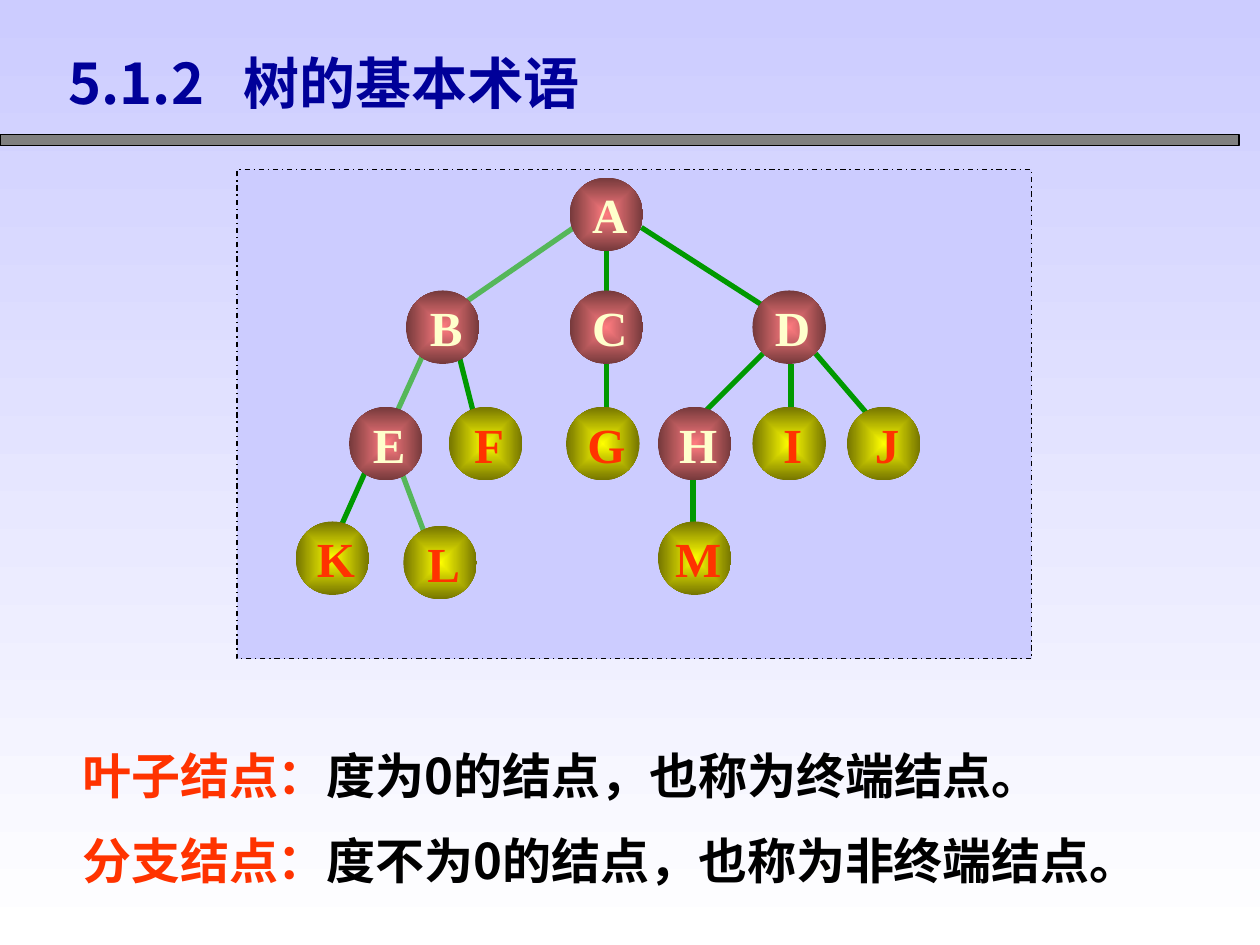
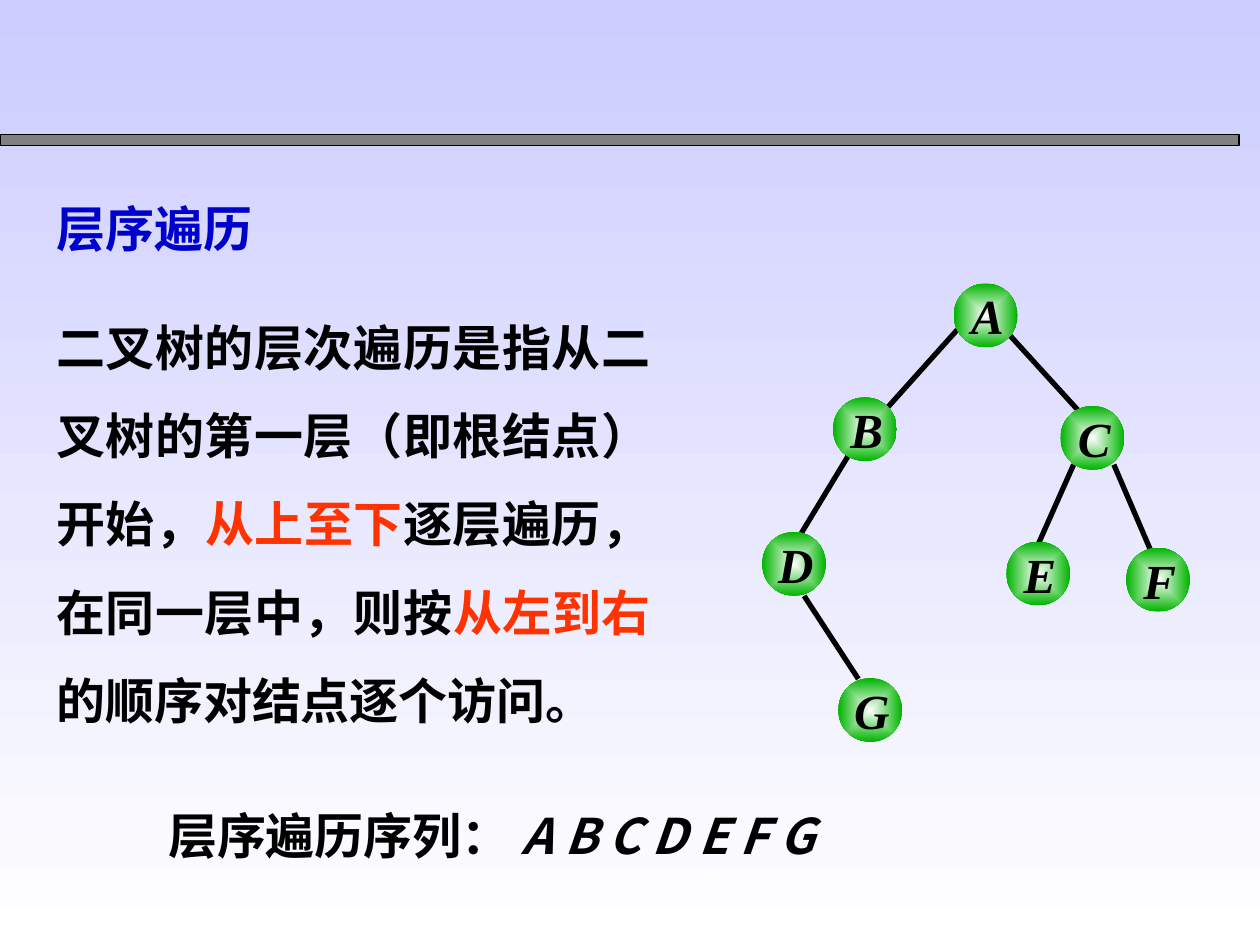
"""Build two slides on tree terms and level-order traversal."""
import pptx
import pptx.dml.color
import pptx.enum.dml
import pptx.enum.shapes
import pptx.enum.text
import pptx.oxml
import pptx.oxml.ns
import pptx.util
import lxml.etree

Pt = pptx.util.Pt
qn = pptx.oxml.ns.qn
rgb = pptx.dml.color.RGBColor.from_string
SHAPE = pptx.enum.shapes.MSO_SHAPE
ALIGN = pptx.enum.text.PP_ALIGN
ANCHOR = pptx.enum.text.MSO_ANCHOR

SANS, SERIF = "Noto Sans CJK SC", "Times New Roman"
LAVENDER, WHITE, BLACK, RED = "CCCCFF", "FFFFFF", "000000", "FF3300"
GREEN, PALE_GREEN = "009900", "55B75A"
BRANCH = ("FF7C80", "75393B", "FFFFCC")
LEAF = ("FFFF00", "757500", RED)
BINARY = (WHITE, "00B400", BLACK)
RADIAL = (
    f'<a:path {pptx.oxml.ns.nsdecls("a")} path="rect">'
    '<a:fillToRect l="50000" t="50000" r="50000" b="50000"/></a:path>'
)


def style(r, font, size, color, italic=False):
    """Format one bold run, for Latin and East Asian letters alike."""
    r.font.name, r.font.size = font, Pt(size)
    r.font.bold, r.font.italic = True, italic
    r.font.color.rgb = rgb(color)
    ea = lxml.etree.SubElement(r.font._element, qn("a:ea"))
    ea.set("typeface", font)


def fill_paragraph(p, runs, align, spacing, before):
    """Write coloured runs into an unbulleted paragraph."""
    pPr = p._p.get_or_add_pPr()
    pPr.set("marL", "0")
    pPr.set("indent", "0")
    lxml.etree.SubElement(pPr, qn("a:buNone"))
    p.alignment, p.line_spacing, p.space_before = align, spacing, Pt(before)
    for text, color, italic in runs:
        r = p.add_run()
        r.text = text
        style(r, SANS, 28, color, italic)


prs = pptx.Presentation()
prs.slide_width, prs.slide_height = Pt(720), Pt(540)
layout = prs.slide_layouts[1]
s1, s2 = prs.slides.add_slide(layout), prs.slides.add_slide(layout)

master = prs.slide_master
bg = master.background.fill
bg.gradient()
bg.gradient_angle = 270
for stop, color in zip(bg.gradient_stops, (LAVENDER, WHITE)):
    stop.color.rgb = rgb(color)

bar = s1.shapes.add_shape(SHAPE.RECTANGLE, 0, Pt(77), Pt(708), Pt(6))
bar.shadow.inherit = False
bar.fill.solid()
bar.fill.fore_color.rgb = rgb("808080")
bar.line.color.rgb = rgb(BLACK)
bar.line.width = Pt(0.75)
master.shapes._spTree.append(bar._element)

title = s1.shapes.title
title.left, title.top, title.width, title.height = Pt(32), Pt(24), Pt(394), Pt(46)
tf = title.text_frame
tf.text = "5.1.2\t树的基本术语"
tf.auto_size = pptx.enum.text.MSO_AUTO_SIZE.NONE
tf.vertical_anchor = ANCHOR.TOP
p = tf.paragraphs[0]
tabs = lxml.etree.SubElement(p._p.get_or_add_pPr(), qn("a:tabLst"))
lxml.etree.SubElement(tabs, qn("a:tab"), pos=str(Pt(100)), algn="l")
p.alignment = ALIGN.LEFT
style(p.runs[0], SANS, 32, "000099")
s2.shapes.title._element.getparent().remove(s2.shapes.title._element)

terms = [
    [("叶子结点：", RED, False), ("度为0的结点，也称为终端结点。", BLACK, False)],
    [("分支结点：", RED, False), ("度不为0的结点，也称为非终端结点。", BLACK, False)],
]
traversal = [
    [("层序遍历", "0000CC", False)],
    [
        ("二叉树的层次遍历是指从二叉树的第一层（即根结点）开始，", BLACK, False),
        ("从上至下", RED, False),
        ("逐层遍历，在同一层中，则按", BLACK, False),
        ("从左到右", RED, False),
        ("的顺序对结点逐个访问。", BLACK, False),
    ],
]
sequence = [[("层序遍历序列：", BLACK, False), (" A B C D E F G", BLACK, True)]]
sequence_box = s2.shapes.add_textbox(0, 0, 0, 0)

for sp, box, paragraphs, align, spacing, before, inset in (
    (s1.placeholders[1], (47, 410.5, 635, 101.5), terms, ALIGN.LEFT, 1.35, 3.5, 0),
    (s2.placeholders[1], (25, 93, 354, 327.5), traversal, ALIGN.JUSTIFY, 1.5, 17.5, 7.2),
    (sequence_box, (89, 456.5, 403, 75), sequence, ALIGN.JUSTIFY, 1, 0, 7.2),
):
    sp.left, sp.top, sp.width, sp.height = map(Pt, box)
    tf = sp.text_frame
    tf.word_wrap = True
    tf.auto_size = pptx.enum.text.MSO_AUTO_SIZE.NONE
    tf.vertical_anchor = ANCHOR.TOP
    tf.margin_left = tf.margin_right = Pt(inset)
    for i, runs in enumerate(paragraphs):
        p = tf.add_paragraph() if i else tf.paragraphs[0]
        fill_paragraph(p, runs, align, spacing, before if i else 0)

term_tree = s1.shapes.add_group_shape()
frame = term_tree.shapes.add_shape(SHAPE.RECTANGLE, Pt(135.5), Pt(97), Pt(454), Pt(279.5))
frame.shadow.inherit = False
frame.fill.solid()
frame.fill.fore_color.rgb = rgb(LAVENDER)
frame.line.color.rgb = rgb(BLACK)
frame.line.width = Pt(0.75)
frame.line.dash_style = pptx.enum.dml.MSO_LINE.DASH_DOT
binary_tree = s2.shapes.add_group_shape()

term_edges = [
    (466, 202, 502, 244, GREEN),
    (436, 202, 400, 238, GREEN),
    (452, 208, 452, 238, GREEN),
    (396, 274, 396, 310, GREEN),
    (366.5, 130, 442, 178.5, GREEN),
    (328, 130, 267, 172, PALE_GREEN),
    (346.5, 143, 346.5, 274, GREEN),
    (262, 202, 273, 245.5, GREEN),
    (229, 268.5, 242.5, 304.5, PALE_GREEN),
    (242, 202, 227, 235, PALE_GREEN),
    (209, 269, 194.5, 301.5, GREEN),
]
binary_edges = [
    (547, 188.5, 507.5, 232.5, BLACK),
    (576.5, 191, 617, 235.5, BLACK),
    (485, 260, 458, 304.5, BLACK),
    (459.5, 340.5, 490.5, 388, BLACK),
    (613.5, 265.5, 593.5, 310.5, BLACK),
    (636.5, 265.5, 657.5, 314.5, BLACK),
]
term_nodes = [
    ("A", 325.5, 101.5, BRANCH),
    ("B", 232, 166, BRANCH),
    ("C", 325.5, 166, BRANCH),
    ("D", 430, 166, BRANCH),
    ("E", 199.5, 232.5, BRANCH),
    ("F", 256.5, 232.5, LEAF),
    ("G", 323.5, 232.5, LEAF),
    ("H", 376, 232.5, BRANCH),
    ("I", 430, 232.5, LEAF),
    ("J", 484, 232.5, LEAF),
    ("K", 169, 298, LEAF),
    ("L", 230.5, 300.5, LEAF),
    ("M", 376, 298, LEAF),
]
binary_nodes = [
    ("A", 545, 162, BINARY),
    ("B", 476, 227, BINARY),
    ("C", 606, 232, BINARY),
    ("D", 435.5, 304, BINARY),
    ("E", 575, 309.5, BINARY),
    ("F", 643.5, 313, BINARY),
    ("G", 479, 387.5, BINARY),
]

for tree, edges, nodes, size, shift, italic in (
    (term_tree, term_edges, term_nodes, 42, 4, False),
    (binary_tree, binary_edges, binary_nodes, 36.5, 2, True),
):
    for x1, y1, x2, y2, color in edges:
        edge = tree.shapes.add_connector(
            pptx.enum.shapes.MSO_CONNECTOR.STRAIGHT, Pt(x1), Pt(y1), Pt(x2), Pt(y2)
        )
        edge.line.color.rgb = rgb(color)
        edge.line.width = Pt(3)
        lxml.etree.SubElement(edge._element.spPr, qn("a:effectLst"))
    for letter, x, y, (center, rim, ink) in nodes:
        sp = tree.shapes.add_shape(SHAPE.OVAL, Pt(x), Pt(y), Pt(size), Pt(size))
        sp.shadow.inherit = False
        sp.line.fill.background()
        sp.fill.gradient()
        for stop, color in zip(sp.fill.gradient_stops, (center, rim)):
            stop.color.rgb = rgb(color)
        grad = sp._element.spPr.find(qn("a:gradFill"))
        grad.replace(grad.find(qn("a:lin")), pptx.oxml.parse_xml(RADIAL))
        tf = sp.text_frame
        tf.text = letter
        tf.word_wrap = False
        tf.vertical_anchor = ANCHOR.MIDDLE
        tf.margin_left = Pt(shift)
        tf.margin_right = tf.margin_top = tf.margin_bottom = 0
        p = tf.paragraphs[0]
        p.alignment = ALIGN.CENTER
        style(p.runs[0], SERIF, 28, ink, italic)

prs.save("out.pptx")
